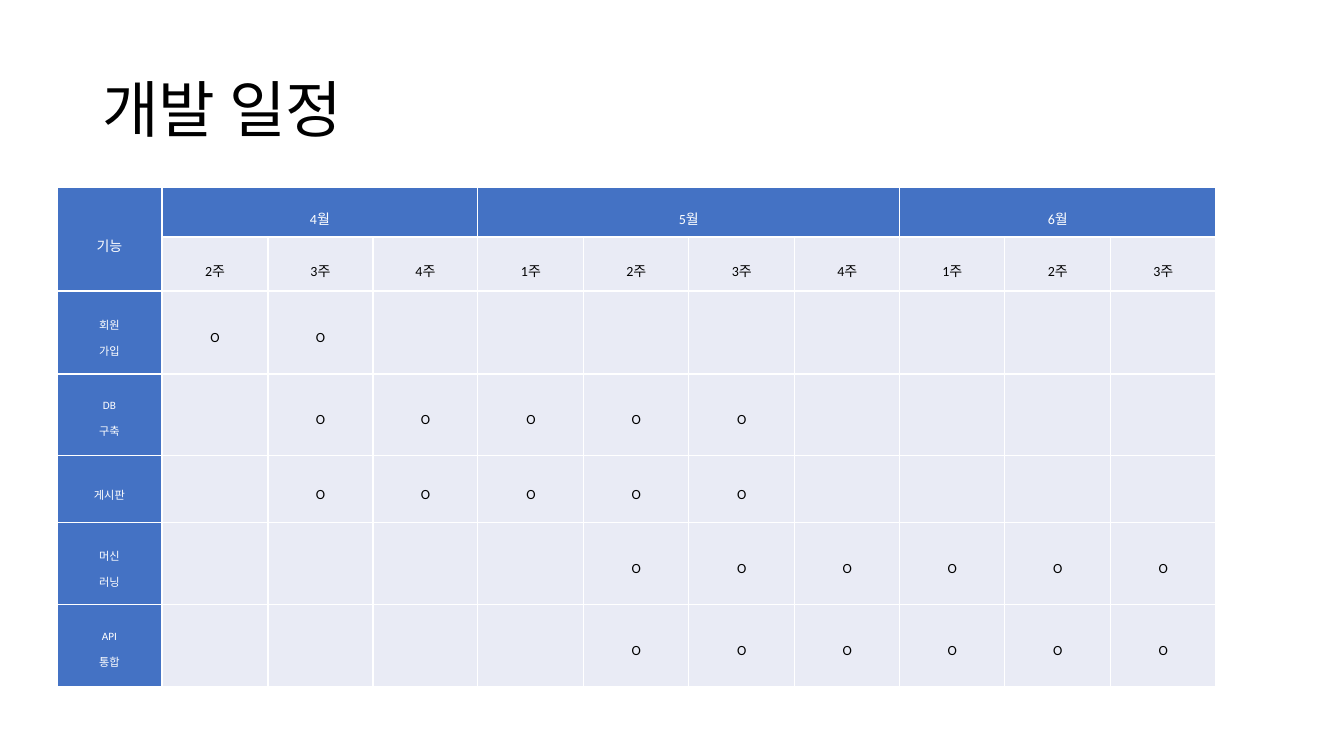
from dataclasses import dataclass

from lxml.etree import SubElement
from pptx import Presentation
from pptx.dml.color import RGBColor
from pptx.enum.text import MSO_ANCHOR, MSO_AUTO_SIZE, PP_ALIGN
from pptx.oxml.ns import qn
from pptx.table import Table, _Cell
from pptx.text.text import _Paragraph
from pptx.util import Emu, Pt

BLUE, PALE, WHITE, BLACK = "4472C4", "E9EBF5", "FFFFFF", "000000"
FONT = "Calibri"
TABLE_LEFT, TABLE_TOP, TABLE_WIDTH = 57, 187, 1159
HEADER_HEIGHTS = [50, 54]


@dataclass
class Month:
    name: str
    first_week: int
    last_week: int


@dataclass
class Feature:
    lines: list[str]
    first_slot: int
    last_slot: int
    height: int


MONTHS = [Month("4월", 2, 4), Month("5월", 1, 4), Month("6월", 1, 3)]
FEATURES = [
    Feature(["회원", "가입"], 1, 2, 83),
    Feature(["DB", "구축"], 2, 6, 82),
    Feature(["게시판"], 2, 6, 67),
    Feature(["머신", "러닝"], 5, 10, 82),
    Feature(["API", "통합"], 5, 10, 82),
]


def px(n: int) -> Emu:
    return Emu(round(n * 914400 / 100.8))


def rgb(color: str) -> RGBColor:
    return RGBColor.from_string(color)


def add_run(p: _Paragraph, text: str, size: int, color: str) -> None:
    r = p.add_run()
    r.text = text
    r.font.size = Pt(size)
    r.font.name = FONT
    r.font.color.rgb = rgb(color)


def style_cell(cell: _Cell, fill: str) -> None:
    tc_pr = cell._tc.get_or_add_tcPr()
    for side in ("a:lnL", "a:lnR", "a:lnT", "a:lnB"):
        ln = SubElement(tc_pr, qn(side), w=str(Pt(1)))
        SubElement(SubElement(ln, qn("a:solidFill")), qn("a:srgbClr"), val=WHITE)
    cell.fill.solid()
    cell.fill.fore_color.rgb = rgb(fill)
    cell.vertical_anchor = MSO_ANCHOR.MIDDLE
    cell.margin_left = cell.margin_right = px(7)
    cell.margin_top = cell.margin_bottom = 0


def write_cell(cell: _Cell, lines: list[str], size: int, color: str) -> None:
    tf = cell.text_frame
    for i, line in enumerate(lines):
        p = tf.add_paragraph() if i else tf.paragraphs[0]
        p.alignment = PP_ALIGN.CENTER
        p.line_spacing = 1.6
        add_run(p, line, size, color)


def fill_header(table: Table) -> None:
    table.cell(0, 0).merge(table.cell(1, 0))
    write_cell(table.cell(0, 0), ["기능"], 10, WHITE)
    col = 1
    for month in MONTHS:
        weeks = range(month.first_week, month.last_week + 1)
        table.cell(0, col).merge(table.cell(0, col + len(weeks) - 1))
        write_cell(table.cell(0, col), [month.name], 10, WHITE)
        for week in weeks:
            write_cell(table.cell(1, col), [f"{week}주"], 10, BLACK)
            col += 1


def fill_features(table: Table) -> None:
    for row, feature in enumerate(FEATURES, len(HEADER_HEIGHTS)):
        write_cell(table.cell(row, 0), feature.lines, 8, WHITE)
        for col in range(feature.first_slot, feature.last_slot + 1):
            write_cell(table.cell(row, col), ["O"], 10, BLACK)


prs = Presentation()
prs.slide_width, prs.slide_height = px(1344), px(756)
s = prs.slides.add_slide(prs.slide_layouts[5])

title = s.shapes.title
title.left, title.top, title.width, title.height = px(92), px(40), px(1159), px(146)
tf = title.text_frame
tf.auto_size = MSO_AUTO_SIZE.NONE
tf.vertical_anchor = MSO_ANCHOR.MIDDLE
p = tf.paragraphs[0]
p.alignment = PP_ALIGN.LEFT
p.line_spacing = 0.9
add_run(p, "개발 일정", 44, BLACK)

heights = HEADER_HEIGHTS + [feature.height for feature in FEATURES]
n_cols = 1 + sum(m.last_week - m.first_week + 1 for m in MONTHS)
table = s.shapes.add_table(
    len(heights), n_cols, px(TABLE_LEFT), px(TABLE_TOP), px(TABLE_WIDTH), px(sum(heights))
).table
edges = [round(i * TABLE_WIDTH / n_cols) for i in range(n_cols + 1)]
for column, left, right in zip(table.columns, edges, edges[1:]):
    column.width = px(right - left)
for r, height in enumerate(heights):
    table.rows[r].height = px(height)
    for c in range(n_cols):
        style_cell(table.cell(r, c), BLUE if r == 0 or c == 0 else PALE)
fill_header(table)
fill_features(table)

prs.save("out.pptx")
